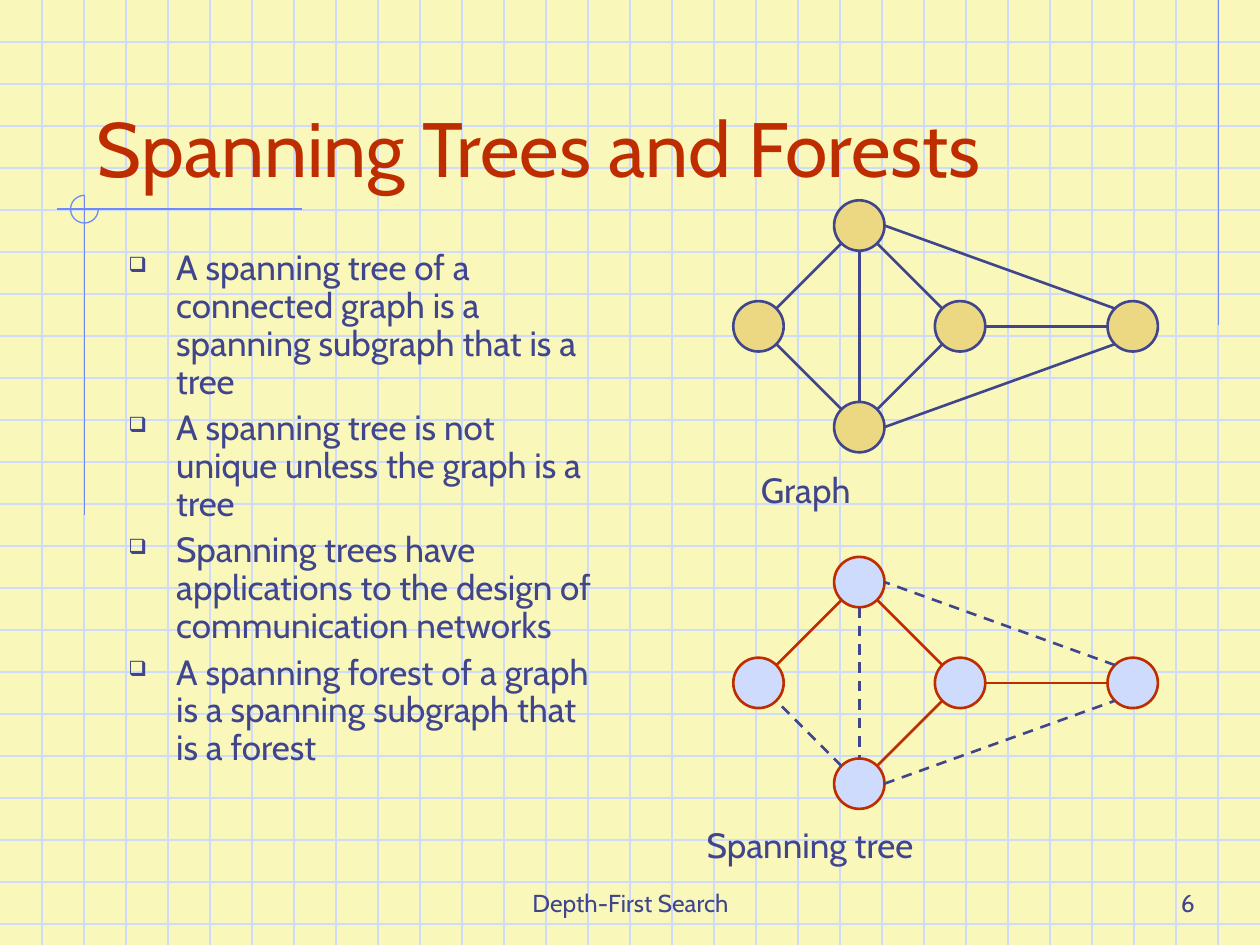
from dataclasses import dataclass, field
import math

import lxml.etree
import pptx
import pptx.dml.color
import pptx.enum.dml
import pptx.enum.shapes
import pptx.enum.text
import pptx.oxml.ns
import pptx.util

Inches = pptx.util.Inches
Pt = pptx.util.Pt
RGB = pptx.dml.color.RGBColor
ALIGN = pptx.enum.text.PP_ALIGN
ANCHOR = pptx.enum.text.MSO_ANCHOR
SHAPE = pptx.enum.shapes.MSO_SHAPE
qn = pptx.oxml.ns.qn


@dataclass(frozen=True)
class Theme:
    font: str = "Cabin"
    paper: str = "F9F8BA"
    grid: str = "CFDBFD"
    margin: str = "6F89F7"
    ink: str = "40458C"
    accent: str = "BE2D00"
    sand: str = "ECD882"
    title: int = 44
    body: int = 20
    footer: int = 14
    thin: float = 0.75
    thick: float = 1.5


T = Theme()
WIDTH, HEIGHT, CELL = 10, 7.5, 1 / 3
RADIUS = 0.2
D = RADIUS * math.cos(math.pi / 4)
SITES = {"n": (0, -RADIUS), "s": (0, RADIUS), "w": (-RADIUS, 0), "e": (RADIUS, 0),
         "nw": (-D, -D), "ne": (D, -D), "sw": (-D, D), "se": (D, D)}
NODES = {"left": (5.82 + RADIUS, 0), "top": (6.82, -0.8), "bottom": (6.82, 0.8),
         "middle": (7.62, 0), "right": (8.99, 0)}


@dataclass(frozen=True)
class Edge:
    start: str
    start_site: str
    end: str
    end_site: str
    in_tree: bool


EDGES = [
    Edge("top", "sw", "left", "ne", True),
    Edge("bottom", "nw", "left", "se", False),
    Edge("bottom", "ne", "middle", "sw", True),
    Edge("top", "se", "middle", "nw", True),
    Edge("top", "s", "bottom", "n", False),
    Edge("middle", "e", "right", "w", True),
    Edge("bottom", "e", "right", "sw", False),
    Edge("right", "nw", "top", "e", False),
]


@dataclass(frozen=True)
class Diagram:
    center_y: float
    fill: str
    outline: str
    tree: bool


@dataclass(frozen=True)
class TextBlock:
    box: tuple[float, float, float, float]
    lines: list[str]
    size: int = T.body
    color: str = T.ink
    anchor: ANCHOR = ANCHOR.TOP
    bullet: str = ""
    format: dict = field(default_factory=dict)


DIAGRAMS = [Diagram(2.59, T.sand, T.ink, False), Diagram(5.42, T.grid, T.accent, True)]

TEXTS = [
    TextBlock((3.42, 6.83, 3.17, 0.5), ["Depth-First Search"], T.footer,
              anchor=ANCHOR.BOTTOM, format={"alignment": ALIGN.CENTER}),
    TextBlock((7.5, 6.83, 2.08, 0.5), ["6"], T.footer,
              anchor=ANCHOR.BOTTOM, format={"alignment": ALIGN.RIGHT}),
    TextBlock((0.67, 0.33, 8.5, 1.25), ["Spanning Trees and Forests"], T.title,
              T.accent, ANCHOR.BOTTOM),
    TextBlock((0.92, 1.94, 3.92, 4.64), [
        "A spanning tree of a connected graph is a spanning subgraph that is a tree",
        "A spanning tree is not unique unless the graph is a tree",
        "Spanning trees have applications to the design of communication networks",
        "A spanning forest of a graph is a spanning subgraph that is a forest",
    ], bullet="❑", format={"line_spacing": 0.9, "space_before": Pt(5)}),
    TextBlock((5.94, 3.67, 3.12, 0.44), ["Graph"]),
    TextBlock((5.51, 6.49, 3.99, 0.44), ["Spanning tree"]),
]


def add_line(shapes, start: tuple, end: tuple, color: str, width: float,
             dashed: bool = False) -> None:
    sp = shapes.add_connector(pptx.enum.shapes.MSO_CONNECTOR.STRAIGHT,
                              *map(Inches, (*start, *end)))
    sp.line.color.rgb = RGB.from_string(color)
    sp.line.width = Pt(width)
    if dashed:
        sp.line.dash_style = pptx.enum.dml.MSO_LINE.DASH
    lxml.etree.SubElement(sp._element.spPr, qn("a:effectLst"))


def add_round(shapes, kind: SHAPE, center: tuple, radius: float, color: str,
              width: float, fill: str = ""):
    x, y = center
    sp = shapes.add_shape(kind, *map(Inches, (x - radius, y - radius, 2 * radius, 2 * radius)))
    sp.shadow.inherit = False
    sp.line.color.rgb = RGB.from_string(color)
    sp.line.width = Pt(width)
    if fill:
        sp.fill.solid()
        sp.fill.fore_color.rgb = RGB.from_string(fill)
    else:
        sp.fill.background()
    return sp


def add_bullet(p, char: str, color: str) -> None:
    pPr = p._p.get_or_add_pPr()
    pPr.set("marL", str(Inches(0.38)))
    pPr.set("indent", str(Inches(-0.38)))
    clr = lxml.etree.SubElement(pPr, qn("a:buClr"))
    lxml.etree.SubElement(clr, qn("a:srgbClr"), val=color)
    lxml.etree.SubElement(pPr, qn("a:buSzPct"), val="60000")
    lxml.etree.SubElement(pPr, qn("a:buChar"), char=char)


def add_text(shapes, block: TextBlock) -> None:
    tf = shapes.add_textbox(*map(Inches, block.box)).text_frame
    tf.word_wrap = True
    tf.vertical_anchor = block.anchor
    for i, line in enumerate(block.lines):
        p = tf.add_paragraph() if i else tf.paragraphs[0]
        for name, value in block.format.items():
            if i or name != "space_before":
                setattr(p, name, value)
        if block.bullet:
            add_bullet(p, block.bullet, block.color)
        r = p.add_run()
        r.text = line
        for name, value in {"name": T.font, "size": Pt(block.size)}.items():
            setattr(r.font, name, value)
        r.font.color.rgb = RGB.from_string(block.color)


def add_paper(shapes) -> None:
    for i in range(1, math.ceil(HEIGHT / CELL)):
        add_line(shapes, (0, i * CELL), (WIDTH, i * CELL), T.grid, T.thin)
    for i in range(1, math.ceil(WIDTH / CELL)):
        add_line(shapes, (i * CELL, 0), (i * CELL, HEIGHT), T.grid, T.thin)
    for start, end in [((9.67, 0), (9.67, 2.58)), ((2.4, 1.66), (0.45, 1.66)),
                       ((0.67, 1.55), (0.67, 4.09))]:
        add_line(shapes, start, end, T.margin, T.thin)
    arc = add_round(shapes, SHAPE.ARC, (0.67, 1.66), 0.11, T.margin, T.thin)
    arc.adjustments[0] = 0
    arc.adjustments[1] = 162


def add_diagram(shapes, diagram: Diagram) -> None:
    def site(node: str, side: str) -> tuple[float, float]:
        (x, y), (dx, dy) = NODES[node], SITES[side]
        return x + dx, diagram.center_y + y + dy

    for x, y in NODES.values():
        add_round(shapes, SHAPE.OVAL, (x, diagram.center_y + y), RADIUS,
                  diagram.outline, T.thick, diagram.fill)
    for edge in EDGES:
        color = diagram.outline if edge.in_tree else T.ink
        add_line(shapes, site(edge.start, edge.start_site), site(edge.end, edge.end_site),
                 color, T.thick, diagram.tree and not edge.in_tree)


def main() -> None:
    prs = pptx.Presentation()
    prs.slide_width, prs.slide_height = Inches(WIDTH), Inches(HEIGHT)
    s = prs.slides.add_slide(prs.slide_layouts[6])
    s.background.fill.solid()
    s.background.fill.fore_color.rgb = RGB.from_string(T.paper)
    add_paper(s.shapes)
    for block in TEXTS:
        add_text(s.shapes, block)
    for diagram in DIAGRAMS:
        add_diagram(s.shapes, diagram)
    prs.save("out.pptx")


if __name__ == "__main__":
    main()
